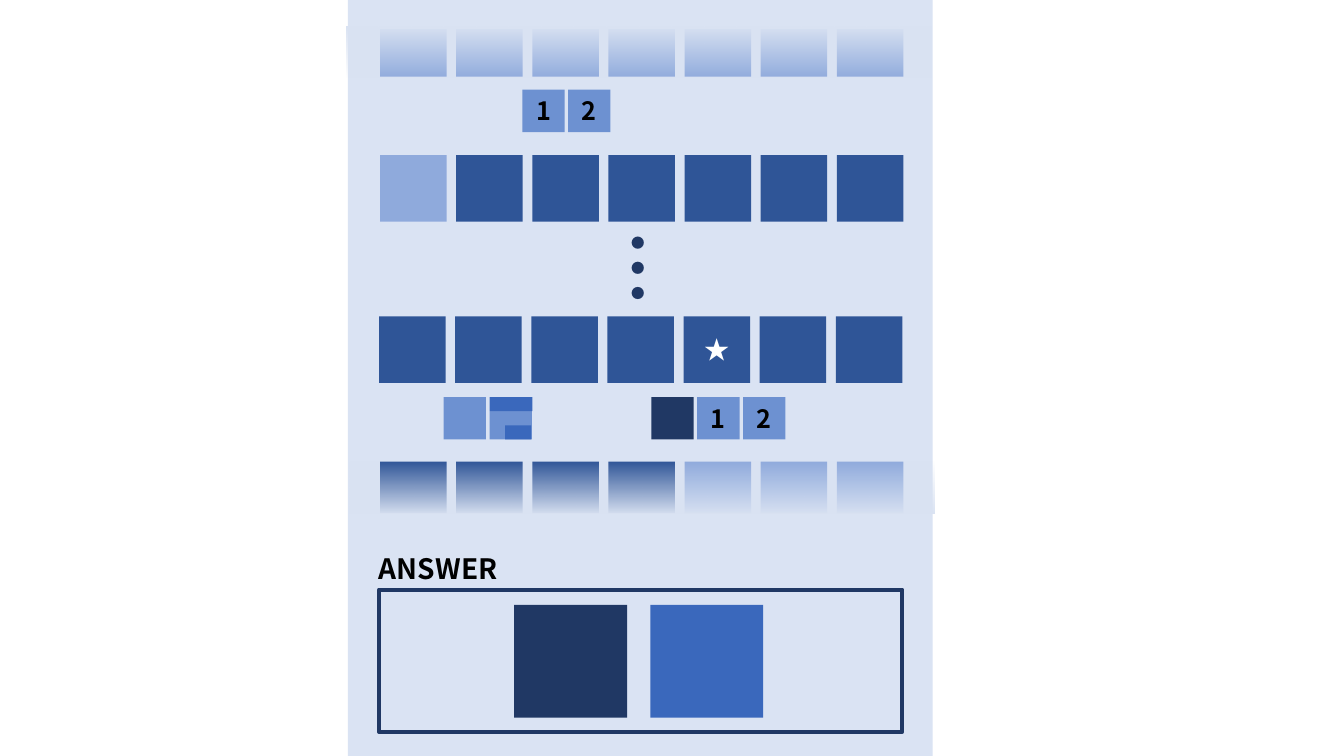
"""Build the tile puzzle slide with its answer panel."""
from lxml.etree import SubElement
from pptx import Presentation
from pptx.dml.color import RGBColor
from pptx.enum.shapes import MSO_SHAPE
from pptx.enum.text import MSO_ANCHOR, MSO_AUTO_SIZE, PP_ALIGN
from pptx.oxml.ns import qn
from pptx.util import Inches, Pt

FONT = "Noto Sans CJK SC"
COLORS = {
    "panel": "DAE3F3",
    "navy": "203864",
    "deep": "2F5597",
    "royal": "3A68BC",
    "mid": "6D91D1",
    "light": "8FAADC",
    "black": "000000",
    "white": "FFFFFF",
}
TILE = 0.66
TILE_PITCH = 4.53 / 6
CHIP = 0.42
CHIP_PITCH = 0.455
CHIP_ROW_TOP = 3.94
ANSWER_TILE = 1.12


def color(name):
    """Return the named colour."""
    return RGBColor.from_string(COLORS[name])


def write_text(shape, text, size=18, ink="black", align=PP_ALIGN.CENTER):
    """Write one bold line into a shape."""
    paragraph = shape.text_frame.paragraphs[0]
    paragraph.alignment = align
    run = paragraph.add_run()
    run.text = text
    run.font.name = FONT
    run.font.size = Pt(size)
    run.font.bold = True
    run.font.color.rgb = color(ink)
    SubElement(run.font._element, qn("a:ea"), typeface=FONT)


def add_rectangle(slide, left, top, width, height, fill=None):
    """Add a flat rectangle without outline."""
    shape = slide.shapes.add_shape(
        MSO_SHAPE.RECTANGLE, Inches(left), Inches(top), Inches(width), Inches(height)
    )
    shape.shadow.inherit = False
    shape.line.fill.background()
    if fill:
        shape.fill.solid()
        shape.fill.fore_color.rgb = color(fill)
    else:
        shape.fill.background()
    return shape


def add_label(slide, text, left, top, width, height, **text_format):
    """Add a text box that grows with its unwrapped text."""
    box = slide.shapes.add_textbox(
        Inches(left), Inches(top), Inches(width), Inches(height)
    )
    box.text_frame.word_wrap = False
    box.text_frame.auto_size = MSO_AUTO_SIZE.SHAPE_TO_FIT_TEXT
    box.text_frame.vertical_anchor = MSO_ANCHOR.TOP
    write_text(box, text, **text_format)
    return box


def add_tile_row(slide, left, top, fills, height=TILE):
    """Add a row of evenly spaced tiles and return them."""
    return [
        add_rectangle(slide, left + index * TILE_PITCH, top, TILE, height, fill)
        for index, fill in enumerate(fills)
    ]


def add_chips(slide, left, top, chips):
    """Add small squares given as pairs of fill and text."""
    for index, (fill, text) in enumerate(chips):
        chip = add_rectangle(slide, left + index * CHIP_PITCH, top, CHIP, CHIP, fill)
        if text:
            write_text(chip, text)


def add_fade(slide, left, top, clear_stop):
    """Add a panel-coloured veil whose given stop is transparent."""
    veil = add_rectangle(slide, left, top, 5.8, 0.51)
    veil.fill.gradient()
    veil.fill.gradient_angle = 270
    for stop, position in zip(veil.fill.gradient_stops, (0, 1)):
        stop.position = position
        stop.color.rgb = color("panel")
    clear_color = list(veil._element.iter(qn("a:gs")))[clear_stop][0]
    SubElement(clear_color, qn("a:alpha"), val="0")


def add_tile_rows(slide):
    """Add the four rows of tiles, the star, the dots and the fades."""
    star_row = add_tile_row(slide, 3.76, 3.14, ["deep"] * 7)
    write_text(star_row[4], "★", ink="white")
    add_tile_row(slide, 3.77, 1.54, ["light"] + ["deep"] * 6)
    dots = add_label(slide, "…", 5.86, 2.16, 0.96, 1.01, size=54, ink="navy")
    dots.rotation = 90
    add_tile_row(slide, 3.77, 4.58, ["deep"] * 4 + ["light"] * 3, height=0.51)
    add_fade(slide, 3.47, 4.58, clear_stop=0)
    add_tile_row(slide, 3.77, 0.29, ["light"] * 7, height=0.47)
    add_fade(slide, 3.44, 0.26, clear_stop=1)


def add_clues(slide):
    """Add the small clue squares between the rows."""
    numbers = [("mid", "1"), ("mid", "2")]
    add_chips(slide, 5.18, 0.89, numbers)
    add_chips(slide, 6.46, CHIP_ROW_TOP, [("navy", None)] + numbers)
    add_chips(slide, 4.4, CHIP_ROW_TOP, [("mid", None)] * 2)
    add_rectangle(slide, 4.86, CHIP_ROW_TOP, CHIP, 0.14, "royal")
    add_rectangle(slide, 5.01, 4.22, 0.26, 0.14, "royal")


def add_answer(slide):
    """Add the answer heading, its frame and the two answer tiles."""
    frame = add_rectangle(slide, 3.76, 5.85, 5.19, 1.41)
    frame.line.color.rgb = color("navy")
    frame.line.width = Pt(3)
    add_label(slide, "ANSWER", 3.66, 5.42, 1.5, 0.44, size=20, align=PP_ALIGN.LEFT)
    for left, fill in ((5.1, "navy"), (6.45, "royal")):
        add_rectangle(slide, left, 6, ANSWER_TILE, ANSWER_TILE, fill)


def main():
    """Build and save the slide."""
    presentation = Presentation()
    presentation.slide_width = Inches(13.33)
    presentation.slide_height = Inches(7.5)
    slide = presentation.slides.add_slide(presentation.slide_layouts[6])
    add_rectangle(slide, 3.45, 0, 5.8, 7.5, "panel")
    add_tile_rows(slide)
    add_clues(slide)
    add_answer(slide)
    presentation.save("out.pptx")


if __name__ == "__main__":
    main()
